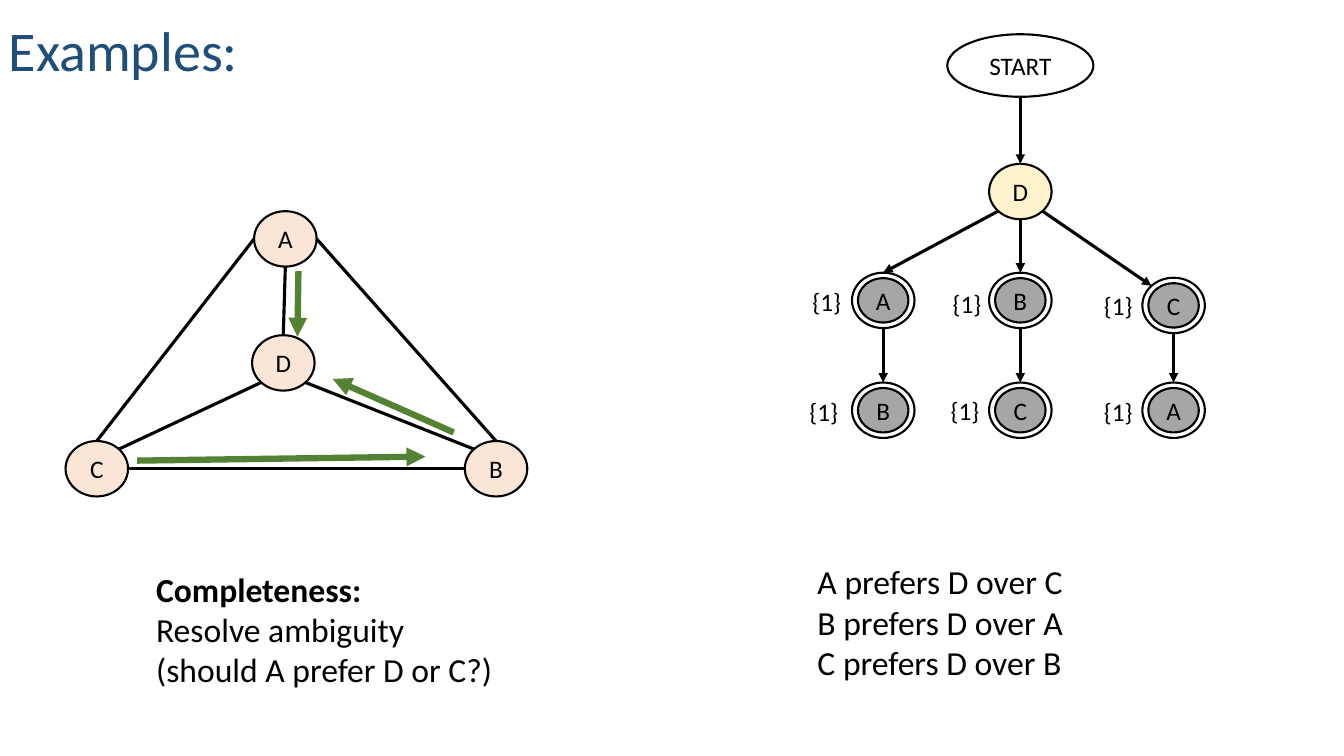
from math import cos, radians, sin

from lxml.etree import SubElement
from pptx import Presentation
from pptx.dml.color import RGBColor
from pptx.enum.shapes import MSO_CONNECTOR, MSO_SHAPE
from pptx.enum.text import MSO_ANCHOR, PP_ALIGN
from pptx.oxml.ns import qn
from pptx.util import Inches, Pt

COLORS = {
    "title": "1F4E79",
    "ink": "000000",
    "peach": "FBE5D6",
    "cream": "FFF2CC",
    "white": "FFFFFF",
    "gray": "A6A6A6",
    "green": "548235",
}
NODE_SIZE = (0.62, 0.55)
INNER_SIZE = (0.5, 0.44)
ANGLES = {
    "right": 0, "bottom right": 45, "bottom": 90, "bottom left": 135,
    "left": 180, "top left": 225, "top": 270, "top right": 315,
}


def color(name):
    return RGBColor.from_string(COLORS[name])


def style_paragraph(para, size, ink="ink", bold=False):
    for span in para.runs:
        span.font.name = "Calibri"
        span.font.size = Pt(size)
        span.font.bold = bold
        span.font.color.rgb = color(ink)


def add_text(page, lines, left, top, width, height, size, ink="ink", bold_first=False):
    box = page.shapes.add_textbox(Inches(left), Inches(top), Inches(width), Inches(height))
    frame = box.text_frame
    frame.word_wrap = True
    frame.text = "\n".join(lines)
    for index, para in enumerate(frame.paragraphs):
        style_paragraph(para, size, ink, bold_first and index == 0)
    return frame


def add_ellipse(page, center, size, fill, label=""):
    width, height = size
    ellipse = page.shapes.add_shape(
        MSO_SHAPE.OVAL,
        Inches(center[0] - width / 2), Inches(center[1] - height / 2),
        Inches(width), Inches(height),
    )
    ellipse.shadow.inherit = False
    ellipse.fill.solid()
    ellipse.fill.fore_color.rgb = color(fill)
    ellipse.line.color.rgb = color("ink")
    ellipse.line.width = Pt(1.5)
    if label:
        frame = ellipse.text_frame
        frame.margin_left = frame.margin_right = frame.margin_top = frame.margin_bottom = 0
        frame.vertical_anchor = MSO_ANCHOR.MIDDLE
        frame.word_wrap = False
        frame.text = label
        frame.paragraphs[0].alignment = PP_ALIGN.CENTER
        style_paragraph(frame.paragraphs[0], 18)


def add_accepting_node(page, center, label):
    add_ellipse(page, center, NODE_SIZE, "white")
    add_ellipse(page, center, INNER_SIZE, "gray", label)


def rim_point(center, side, size=NODE_SIZE):
    angle = radians(ANGLES[side])
    return center[0] + size[0] / 2 * cos(angle), center[1] + size[1] / 2 * sin(angle)


def add_line(page, start, end, ink="ink", width=2.25, arrow=False):
    line = page.shapes.add_connector(
        MSO_CONNECTOR.STRAIGHT, *(Inches(value) for value in (*start, *end))
    )
    line.line.color.rgb = color(ink)
    line.line.width = Pt(width)
    if arrow:
        SubElement(line.line._get_or_add_ln(), qn("a:tailEnd"), type="triangle")
    SubElement(line._element.spPr, qn("a:effectLst"))


def add_topology(page):
    nodes = {"A": (2.83, 2.37), "B": (4.92, 4.65), "C": (0.96, 4.65), "D": (2.81, 3.6)}
    edges = [
        ("C", "top", "A", "left"),
        ("C", "right", "B", "left"),
        ("D", "top", "A", "bottom"),
        ("A", "right", "B", "top"),
        ("C", "top right", "D", "bottom left"),
        ("D", "bottom right", "B", "top left"),
    ]
    for label, center in nodes.items():
        add_ellipse(page, center, NODE_SIZE, "peach", label)
    for source, source_side, target, target_side in edges:
        add_line(page, rim_point(nodes[source], source_side), rim_point(nodes[target], target_side))
    preferences = [
        ((2.96, 2.69), (2.95, 3.34)),
        ((4.5, 4.29), (3.3, 3.76)),
        ((1.36, 4.57), (4.22, 4.53)),
    ]
    for start, end in preferences:
        add_line(page, start, end, "green", 4.5, arrow=True)


def add_tree(page):
    start, start_size = (10.12, 0.65), (1.45, 0.62)
    root = (10.12, 1.9)
    lower_y = 4.07
    branches = [
        ("A", "B", (8.76, 2.98), "bottom left", "top", (7.96, 2.79), (7.93, 3.88)),
        ("B", "C", (10.12, 2.98), "bottom", "top", (9.35, 2.81), (9.33, 3.87)),
        ("C", "A", (11.64, 3.03), "bottom right", "top left", (10.85, 2.83), (10.85, 3.88)),
    ]
    add_ellipse(page, start, start_size, "white", "START")
    add_ellipse(page, root, NODE_SIZE, "cream", "D")
    add_line(page, rim_point(start, "bottom", start_size), rim_point(root, "top"), arrow=True)
    for upper, lower, center, root_side, upper_side, *ranks in branches:
        below = (center[0], lower_y)
        add_accepting_node(page, center, upper)
        add_accepting_node(page, below, lower)
        add_line(page, rim_point(root, root_side), rim_point(center, upper_side), arrow=True)
        add_line(page, rim_point(center, "bottom"), rim_point(below, "top"), arrow=True)
        for left, top in ranks:
            add_text(page, ["{1}"], left, top, 0.49, 0.4, 18)


def main():
    deck = Presentation()
    deck.slide_width = Inches(13.33)
    deck.slide_height = Inches(7.5)
    page = deck.slides.add_slide(deck.slide_layouts[6])
    title = add_text(page, ["Examples:"], -0.01, -0.05, 8.74, 0.93, 40, "title")
    title.vertical_anchor = MSO_ANCHOR.BOTTOM
    title.paragraphs[0].line_spacing = 0.9
    add_topology(page)
    add_tree(page)
    add_text(
        page, ["Completeness:", "Resolve ambiguity (should A prefer D or C?)"],
        1.45, 5.59, 3.65, 1.31, 24, bold_first=True,
    )
    add_text(
        page, ["A prefers D over C", "B prefers D over A", "C prefers D over B"],
        8.01, 5.52, 3.73, 1.31, 24,
    )
    deck.save("out.pptx")


if __name__ == "__main__":
    main()
